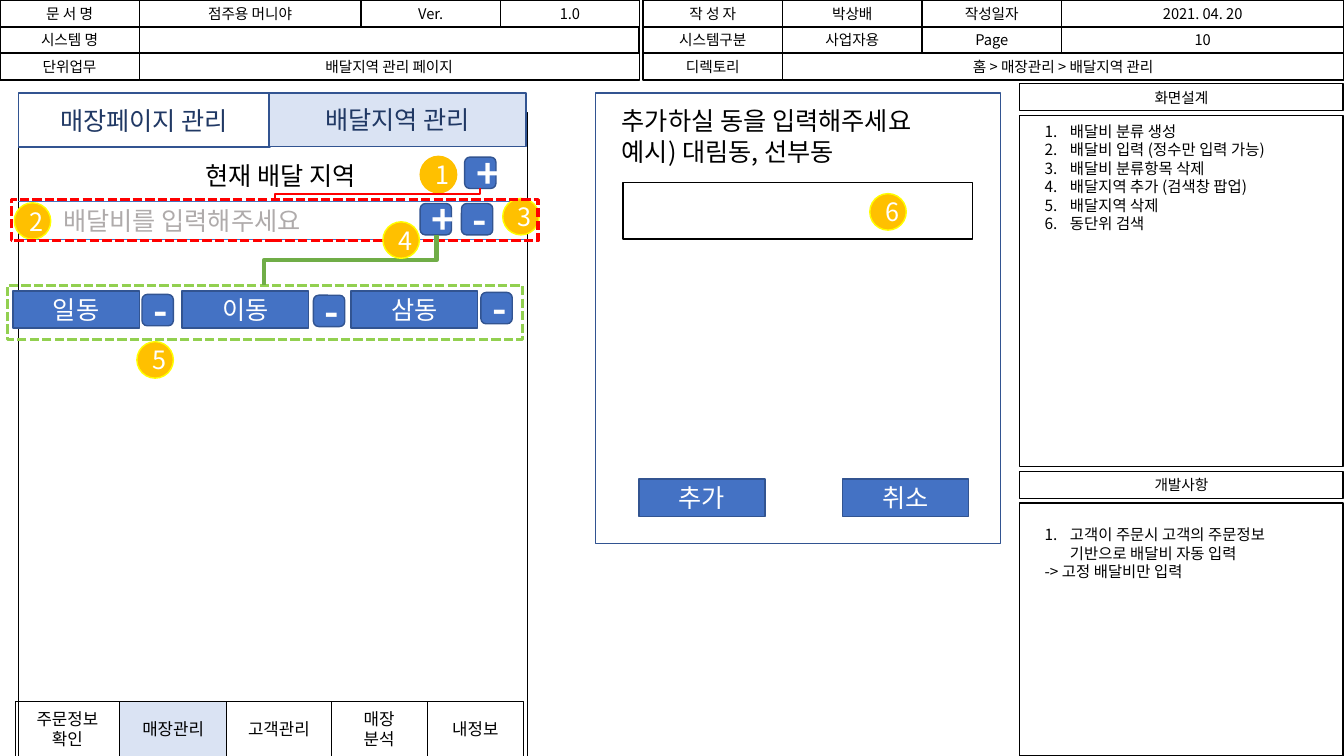
from dataclasses import dataclass
from itertools import accumulate

from lxml.etree import SubElement
from pptx import Presentation
from pptx.dml.color import RGBColor
from pptx.enum.dml import MSO_LINE
from pptx.enum.shapes import MSO_CONNECTOR as Link, MSO_SHAPE as Kind
from pptx.enum.text import MSO_ANCHOR as Anchor, MSO_AUTO_SIZE as AutoSize, PP_ALIGN as Align
from pptx.oxml.ns import qn
from pptx.util import Cm, Pt


@dataclass(frozen=True)
class Theme:
    font: str = "Noto Sans CJK KR"
    black: str = "000000"
    white: str = "FFFFFF"
    grey: str = "AFABAB"
    navy: str = "203864"
    edge: str = "325491"
    blue: str = "4472C4"
    pale: str = "DAE3F3"
    amber: str = "FFC000"
    yellow: str = "FFFF00"
    red: str = "FF0000"
    lime: str = "92D050"
    green: str = "70AD47"
    cell_size: float = 10.5
    list_size: float = 11
    nav_size: float = 12
    main_size: float = 18
    sign_size: float = 28


T = Theme()

# Looks shared by the parts of the slide
CELL = dict(line=T.black, size=T.cell_size)
FRAME = dict(fill=T.white, line=T.black)
LIST = dict(size=T.list_size, align=Align.LEFT, anchor=Anchor.TOP)
LABEL = dict(size=T.main_size, anchor=Anchor.TOP)
TAB = dict(line=T.edge, size=T.main_size, color=T.navy)
BUTTON = dict(fill=T.blue, line=T.edge, size=T.main_size, color=T.white)
SIGN = BUTTON | dict(size=T.sign_size, bold=True)
MARKER = dict(fill=T.amber, line=T.yellow, size=T.main_size, color=T.white)
NAV = dict(line=T.black, width=0.5, size=T.nav_size)

BUTTON_SIZE = (3.18, 0.94)
SIGN_SIZE = (0.79, 0.79)
MARKER_SIZE = (0.92, 0.92)
ROW_HEIGHT, ROW_PITCH = 0.68, 0.67


def within(box, x, y, *size):
    return (box[0] + x, box[1] + y, *size)


def apply(target, values):
    for name, value in values.items():
        setattr(target, name, value)


def style(shape, text="", fill=None, line=None, width=1, dash=None, size=T.main_size,
          color=T.black, bold=False, align=Align.CENTER, anchor=Anchor.MIDDLE):
    shape.shadow.inherit = False
    for paint, tone in ((shape.fill, fill), (shape.line.fill, line)):
        if tone:
            paint.solid()
            paint.fore_color.rgb = RGBColor.from_string(tone)
        else:
            paint.background()
    if line:
        apply(shape.line, dict(width=Pt(width), dash_style=dash))
    frame = shape.text_frame
    apply(frame, dict(text=text, word_wrap=True, auto_size=AutoSize.NONE,
                      vertical_anchor=anchor))
    for paragraph in frame.paragraphs:
        apply(paragraph, dict(alignment=align, space_before=Pt(0)))
        for run in paragraph.runs:
            apply(run.font, dict(name=T.font, size=Pt(size), bold=bold))
            run.font.color.rgb = RGBColor.from_string(color)
            SubElement(run.font._element, qn("a:ea"), typeface=T.font)


def block(slide, box, text="", kind=Kind.RECTANGLE, **look):
    style(slide.shapes.add_shape(kind, *map(Cm, box)), text, **look)


def label(slide, box, text, **look):
    style(slide.shapes.add_textbox(*map(Cm, box)), text, **look)


def holder(placeholder, box, text, **look):
    apply(placeholder, dict(zip(("left", "top", "width", "height"), map(Cm, box))))
    style(placeholder, text, **look)


def sign(slide, region, x, y, text):
    block(slide, within(region, x, y, *SIGN_SIZE), text, Kind.ROUNDED_RECTANGLE, **SIGN)


def marker(slide, region, x, y, number, **changes):
    block(slide, within(region, x, y, *MARKER_SIZE), number, Kind.OVAL, **MARKER | changes)


def connect(slide, link, start, end, color, width):
    connector = slide.shapes.add_connector(link, *map(Cm, start + end))
    connector.line.width = Pt(width)
    connector.line.color.rgb = RGBColor.from_string(color)
    SubElement(connector._element.spPr, qn("a:effectLst"))
    return connector


def drop_link(slide, start, end, color, width):
    """Elbow that leaves downwards, runs left and arrives from above."""
    span, drop = start[0] - end[0], end[1] - start[1]
    left = (start[0] + end[0] - drop) / 2
    top = (start[1] + end[1] - span) / 2
    elbow = connect(slide, Link.ELBOW, (left, top), (left + drop, top + span), color, width)
    elbow._element.spPr.find(qn("a:xfrm")).set("rot", str(90 * 60000))


def header(slide, box, rows, title=None):
    for row, cells in enumerate(rows):
        lefts = accumulate((width for _, width in cells), initial=0)
        for (text, width), left in zip(cells, lefts):
            cell = within(box, left, row * ROW_PITCH, width, ROW_HEIGHT)
            if title is not None and text == title:
                holder(slide.shapes.title, cell, text, **CELL)
            else:
                block(slide, cell, text, **CELL)


def notes_panel(slide, box, heading, body, items, list_top, list_height, closing=()):
    width, height = box[2:]
    frame_top = 0.8
    block(slide, within(box, 0, 0, width, ROW_HEIGHT), heading, **CELL)
    block(slide, within(box, 0, frame_top, width, height - frame_top), line=T.black)
    holder(body, within(box, 0.37, frame_top + list_top, 7.54, list_height),
           "\n".join([*items, *closing]), **LIST)
    for index, paragraph in enumerate(body.text_frame.paragraphs):
        numbered = index < len(items)
        indent = Cm(0.64) if numbered else 0
        props = paragraph._p.get_or_add_pPr()
        props.set("marL", str(indent))
        props.set("indent", str(-indent))
        if numbered:
            SubElement(props, qn("a:buFont"), typeface="+mj-lt")
            SubElement(props, qn("a:buAutoNum"), type="arabicPeriod")
        else:
            SubElement(props, qn("a:buNone"))


def store_screen(slide, box):
    # Window and tabs
    block(slide, within(box, 0, 0.5, box[2], box[3] - 0.5), **FRAME)
    block(slide, within(box, 0, 0, 6.35, 1.37), "매장페이지 관리", fill=T.white, **TAB)
    block(slide, within(box, 6.32, 0, 6.48, 1.35), "배달지역 관리", fill=T.pale, **TAB)

    # Current area and fee entry
    for y in (2.74, 3.68):
        connect(slide, Link.STRAIGHT, within(box, 0, y), within(box, 12.8, y), T.blue, 0.5)
    marker(slide, box, 10.13, 1.6, "1", line=T.amber)
    label(slide, within(box, 2.74, 1.57, 7.75, 1.02), "현재 배달 지역", **LABEL)
    label(slide, within(box, 0.1, 2.71, 8.05, 1.02), "배달비를 입력해주세요",
          color=T.grey, **LABEL)
    for x, y, text in ((11.25, 1.62, "+"), (10.13, 2.79, "+"), (11.17, 2.79, "-")):
        sign(slide, box, x, y, text)

    # Delivery districts with their remove buttons
    removes = ((3.12, 5.08), (7.44, 5.1), (11.66, 5.03))
    for column, (district, remove) in enumerate(zip(("일동", "이동", "삼동"), removes)):
        block(slide, within(box, -0.13 + 4.26 * column, 4.99, *BUTTON_SIZE), district, **BUTTON)
        sign(slide, box, *remove, "-")

    # Groups, their links and the markers
    dashed = dict(width=2.25, dash=MSO_LINE.SQUARE_DOT)
    marker(slide, box, -0.1, 2.77, "2")
    marker(slide, box, 12.21, 2.66, "3")
    block(slide, within(box, -0.18, 2.69, 13.28, 1.04), line=T.red, **dashed)
    drop_link(slide, within(box, 11.63, 2.41), within(box, 6.47, 2.69), T.red, 1.25)
    block(slide, within(box, -0.28, 4.85, 12.98, 1.37), line=T.lime, **dashed)
    drop_link(slide, within(box, 10.54, 3.58), within(box, 6.19, 4.85), T.green, 3)
    marker(slide, box, 9.19, 3.25, "4")
    marker(slide, box, 2.99, 6.27, "5")

    # Bottom navigation
    menu = (("주문정보\n확인", 2.64), ("매장관리", 2.69), ("고객관리", 2.64),
            ("매장\n분석", 2.41), ("내정보", 2.44))
    lefts = accumulate((width for _, width in menu), initial=-0.08)
    for (text, width), left in zip(menu, lefts):
        block(slide, within(box, left, 15.34, width, 1.37), text,
              fill=T.pale if text == "매장관리" else None, **NAV)


def search_popup(slide, box):
    block(slide, box, fill=T.white, line=T.edge)
    label(slide, within(box, 0.41, 0.2, 9.5, 1.8),
          "추가하실 동을 입력해주세요\n예시) 대림동, 선부동", align=Align.LEFT, **LABEL)
    block(slide, within(box, 0.69, 2.26, 8.81, 1.42), **FRAME)
    marker(slide, box, 6.91, 2.54, "6")
    for x, text in ((1.09, "추가"), (6.22, "취소")):
        block(slide, within(box, x, 9.73, *BUTTON_SIZE), text, **BUTTON)


def main():
    deck = Presentation()
    apply(deck, dict(slide_width=Cm(33.87), slide_height=Cm(19.05)))
    slide = deck.slides.add_slide(deck.slide_layouts[3])
    design_list, build_list = list(slide.placeholders)[1:]

    page = "배달지역 관리 페이지"
    header(slide, (0, 0), (
        (("문 서 명", 3.51), ("점주용 머니야", 5.59), ("Ver.", 3.51), ("1.0", 3.51)),
        (("시스템 명", 3.51), ("", 12.6)),
        (("단위업무", 3.51), (page, 12.6))), title=page)
    header(slide, (16.21, 0), (
        (("작 성 자", 3.51), ("박상배", 3.52), ("작성일자", 3.51), ("2021. 04. 20", 7.12)),
        (("시스템구분", 3.51), ("사업자용", 3.52), ("Page", 3.51), ("10", 7.12)),
        (("디렉토리", 3.51), ("홈 > 매장관리 > 배달지역 관리", 14.15))))
    notes_panel(slide, (25.7, 2.11, 8.15, 9.65), "화면설계", design_list, (
        "배달비 분류 생성", "배달비 입력 (정수만 입력 가능)", "배달비 분류항목 삭제",
        "배달지역 추가 (검색창 팝업)", "배달지역 삭제", "동단위 검색"), 0.03, 4.01)
    notes_panel(slide, (25.7, 11.88, 8.15, 7.17), "개발사항", build_list,
                ("고객이 주문시 고객의 주문정보 기반으로 배달비 자동 입력",), 0.43, 1.68,
                closing=("-> 고정 배달비만 입력",))
    store_screen(slide, (0.46, 2.34, 12.83, 16.76))
    search_popup(slide, (15.01, 2.34, 10.21, 11.35))
    deck.save("out.pptx")


if __name__ == "__main__":
    main()
